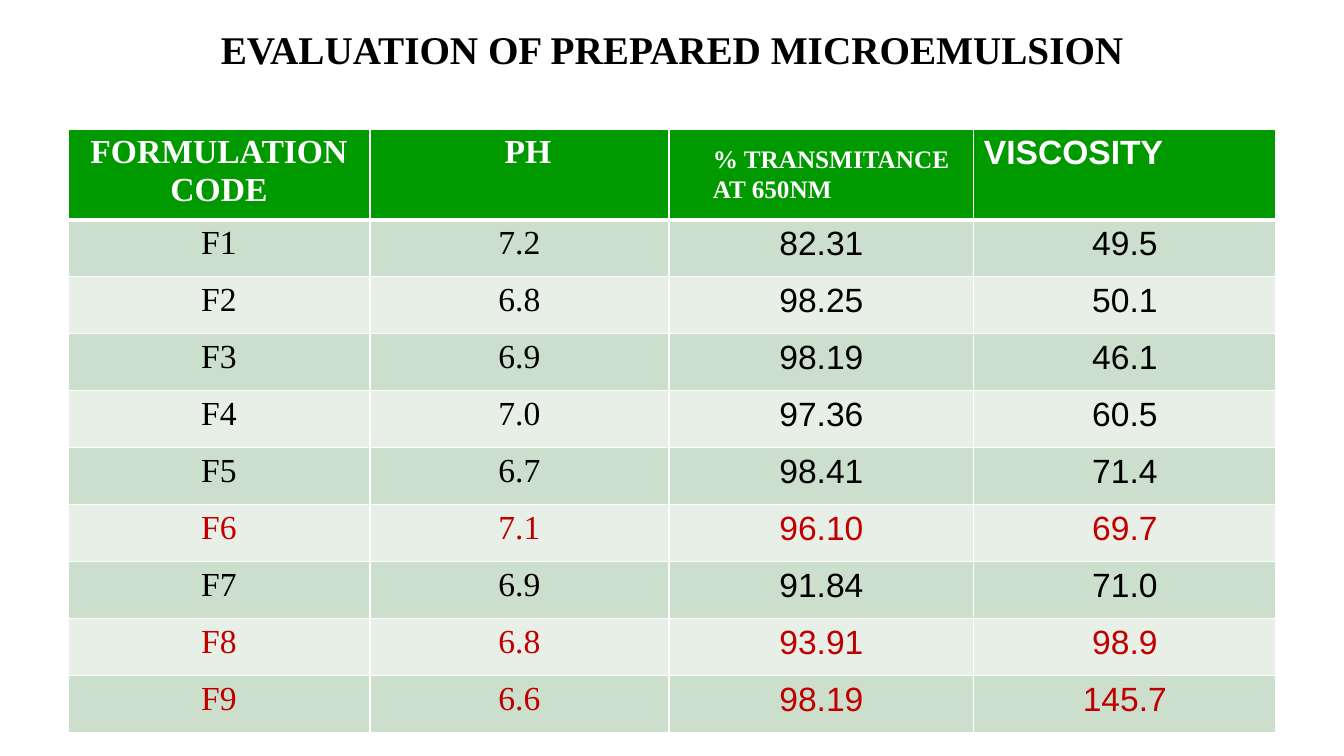
from lxml import etree
from pptx import Presentation
from pptx.dml.color import RGBColor
from pptx.enum.text import MSO_ANCHOR, PP_ALIGN
from pptx.oxml.ns import qn
from pptx.util import Emu, Pt

LEFT, CENTER = PP_ALIGN.LEFT, PP_ALIGN.CENTER
MIDDLE, TOP = MSO_ANCHOR.MIDDLE, MSO_ANCHOR.TOP
SLIDE_WIDTH, SLIDE_HEIGHT = 1344, 756
SCALE = 12192000 / SLIDE_WIDTH
SERIF, SANS = "Times New Roman", "Arial"
COLORS = {
    "black": "000000", "white": "FFFFFF", "red": "C00000",
    "header": "009900", "dark_band": "CCDECC", "light_band": "E7EFE7",
}
COLUMN_WIDTHS = [302, 299, 305, 302]
COLUMN_FONTS = [SERIF, SERIF, SANS, SANS]
ROW_HEIGHT = 57
HEADINGS = ["FORMULATION CODE", "PH", "", "VISCOSITY"]
RESULTS = [
    ["F1", "7.2", "82.31", "49.5"],
    ["F2", "6.8", "98.25", "50.1"],
    ["F3", "6.9", "98.19", "46.1"],
    ["F4", "7.0", "97.36", "60.5"],
    ["F5", "6.7", "98.41", "71.4"],
    ["F6", "7.1", "96.10", "69.7"],
    ["F7", "6.9", "91.84", "71.0"],
    ["F8", "6.8", "93.91", "98.9"],
    ["F9", "6.6", "98.19", "145.7"],
]
HIGHLIGHTED = {"F6", "F8", "F9"}


def px(length):
    return Emu(round(length * SCALE))


def rgb(name):
    return RGBColor.from_string(COLORS[name])


def write(frame, text, size=24, font=SERIF, color="black", bold=False, align=CENTER):
    paragraph = frame.paragraphs[0]
    paragraph.alignment = align
    paragraph.font.size = Pt(size)
    if text:
        run = paragraph.add_run()
        run.text = text
        run.font.size, run.font.name, run.font.bold = Pt(size), font, bold
        run.font.color.rgb = rgb(color)


def add_label(slide, box, text, anchor=TOP, **style):
    frame = slide.shapes.add_textbox(*map(px, box)).text_frame
    frame.word_wrap = True
    frame.vertical_anchor = anchor
    write(frame, text, **style)


def set_borders(cell, top, bottom):
    properties = cell._tc.get_or_add_tcPr()
    widths = {"lnL": 1, "lnR": 1, "lnT": top, "lnB": bottom}
    for position, (side, width) in enumerate(widths.items()):
        line = etree.Element(qn(f"a:{side}"), w=str(Pt(width)))
        fill = etree.SubElement(line, qn("a:solidFill"))
        etree.SubElement(fill, qn("a:srgbClr"), val=COLORS["white"])
        properties.insert(position, line)


def fill_cell(cell, text, fill, top=1, bottom=1, **style):
    cell.fill.solid()
    cell.fill.fore_color.rgb = rgb(fill)
    set_borders(cell, top, bottom)
    write(cell.text_frame, text, **style)


def add_results(slide, left, top):
    row_count = len(RESULTS) + 1
    table = slide.shapes.add_table(
        row_count, len(HEADINGS), px(left), px(top),
        px(sum(COLUMN_WIDTHS)), px(row_count * ROW_HEIGHT)).table
    table.first_row = table.horz_banding = False
    for column, width in zip(table.columns, COLUMN_WIDTHS):
        column.width = px(width)
    for row in table.rows:
        row.height = px(ROW_HEIGHT)

    for column, (heading, font) in enumerate(zip(HEADINGS, COLUMN_FONTS)):
        fill_cell(table.cell(0, column), heading, "header", bottom=3, font=font,
                  color="white", bold=True, align=LEFT if font == SANS else CENTER)
    table.cell(0, 1).margin_left = px(27)

    for row, values in enumerate(RESULTS, 1):
        band = "dark_band" if row % 2 else "light_band"
        color = "red" if values[0] in HIGHLIGHTED else "black"
        for column, (value, font) in enumerate(zip(values, COLUMN_FONTS)):
            fill_cell(table.cell(row, column), value, band,
                      top=3 if row == 1 else 1, font=font, color=color)

    add_label(slide, (left + 635, top + 9, 257, 72), "% TRANSMITANCE AT 650NM",
              size=18, color="white", bold=True, align=LEFT)


def main():
    deck = Presentation()
    deck.slide_width, deck.slide_height = px(SLIDE_WIDTH), px(SLIDE_HEIGHT)
    slide = deck.slides.add_slide(deck.slide_layouts[6])
    add_label(slide, (67, 17, 1210, 63), "EVALUATION OF PREPARED MICROEMULSION",
              anchor=MIDDLE, size=28, bold=True)
    add_results(slide, 68, 129)
    deck.save("out.pptx")


if __name__ == "__main__":
    main()
